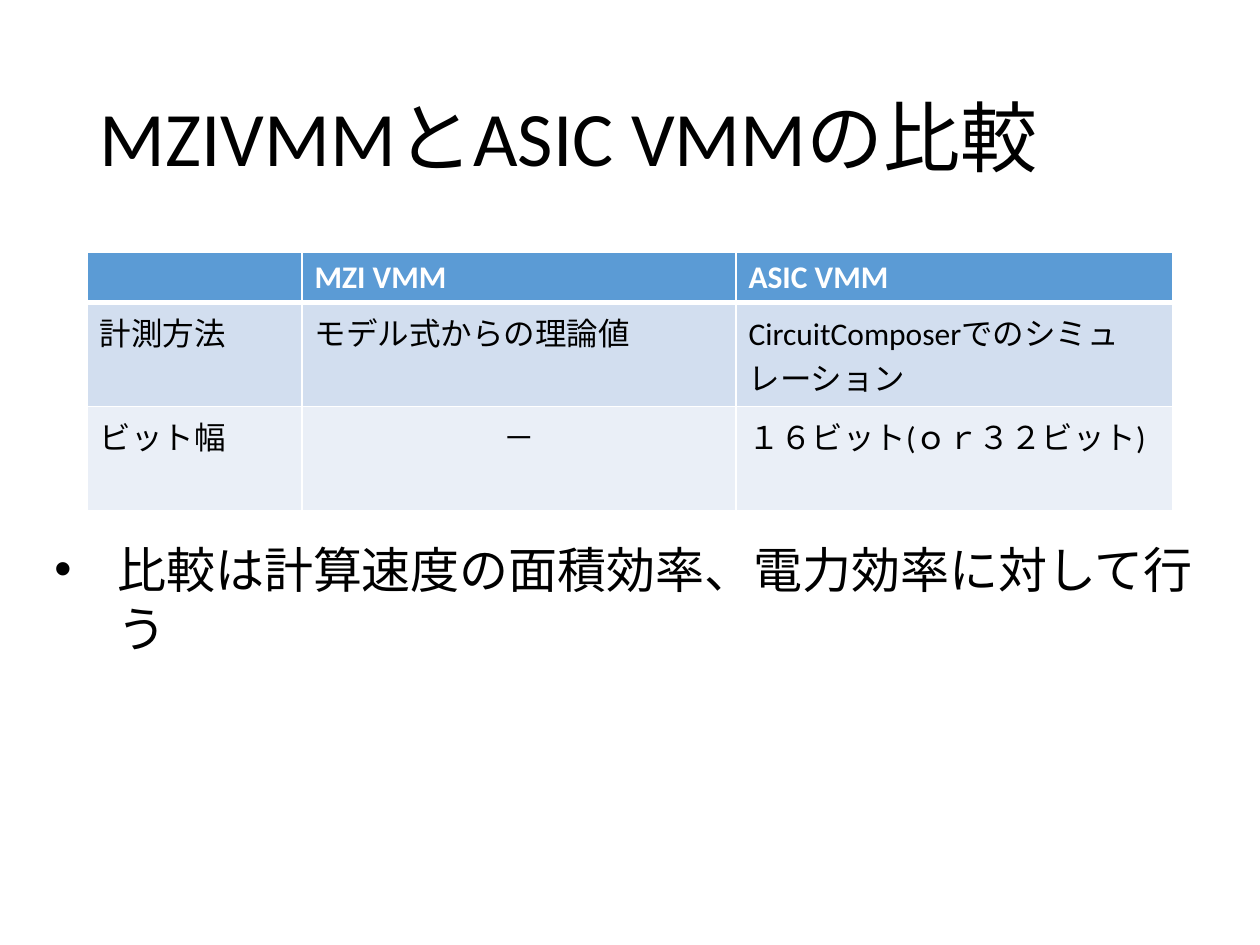
"""Build a slide that compares two kinds of VMM."""
from dataclasses import dataclass

from lxml import etree
from pptx import Presentation
from pptx import util as u
from pptx.dml.color import RGBColor
from pptx.enum import lang, text
from pptx.oxml import ns

SCALE = 914400 // 126
DASH = "\uff0d"


@dataclass(frozen=True)
class Theme:
    """Colours, font and type sizes of the slide."""
    font: str = "Calibri"
    ink: str = "000000"
    white: str = "FFFFFF"
    header: str = "5B9BD5"
    bands: tuple = ("D2DEEF", "EAEFF7")
    title: int = 44
    body: int = 28
    cell: int = 18


THEME = Theme()


def px(length):
    """Turn pixels into EMU."""
    return u.Emu(length * SCALE)


def write(frame, words, size, color=THEME.ink, bold=False, align=text.PP_ALIGN.LEFT, spacing=None):
    """Write one paragraph into a text frame and return it."""
    frame.word_wrap = True
    para = frame.paragraphs[0]
    para.alignment = align
    para.line_spacing = spacing
    span = para.add_run()
    span.text = words
    font = span.font
    font.name, font.size, font.bold = THEME.font, u.Pt(size), bold
    font.color.rgb = RGBColor.from_string(color)
    font.language_id = lang.MSO_LANGUAGE_ID.JAPANESE
    return para


def add_title(page, box, words):
    """Place the title, centred vertically in its box."""
    frame = page.shapes.add_textbox(*map(px, box)).text_frame
    frame.vertical_anchor = text.MSO_ANCHOR.MIDDLE
    write(frame, words, THEME.title, spacing=0.9)


def add_bullet(page, box, words):
    """Place a bulleted statement with a hanging indent."""
    frame = page.shapes.add_textbox(*map(px, box)).text_frame
    props = write(frame, words, THEME.body)._p.get_or_add_pPr()
    indent = px(63)
    props.set("marL", str(indent))
    props.set("indent", str(-indent))
    etree.SubElement(props, ns.qn("a:buFont"), typeface="Arial")
    etree.SubElement(props, ns.qn("a:buChar"), char="•")


def set_borders(cell, **widths):
    """Draw white cell borders, with widths in points by side."""
    props = cell._tc.get_or_add_tcPr()
    for side in "LRTB":
        line = etree.SubElement(props, ns.qn(f"a:ln{side}"), w=str(u.Pt(widths.get(side, 1))))
        fill = etree.SubElement(line, ns.qn("a:solidFill"))
        etree.SubElement(fill, ns.qn("a:srgbClr"), val=THEME.white)


def add_comparison(page, box, shares, header_height, rows):
    """Place the comparison table, with body rows sharing the height below the header."""
    table = page.shapes.add_table(len(rows), len(shares), *map(px, box)).table
    for column, share in zip(table.columns, shares):
        column.width = px(round(box[2] * share))
    body_height = (box[3] - header_height) // (len(rows) - 1)
    for r, row in enumerate(rows):
        header = r == 0
        table.rows[r].height = px(header_height if header else body_height)
        color = THEME.header if header else THEME.bands[(r - 1) % 2]
        for c, words in enumerate(row):
            cell = table.cell(r, c)
            set_borders(cell, T=3 if r == 1 else 1, B=3 if header else 1)
            cell.fill.solid()
            cell.fill.fore_color.rgb = RGBColor.from_string(color)
            align = text.PP_ALIGN.CENTER if words == DASH else text.PP_ALIGN.LEFT
            write(cell.text_frame, words, THEME.cell, bold=header, align=align,
                  color=THEME.white if header else THEME.ink)


def main():
    """Build and save the deck."""
    deck = Presentation()
    deck.slide_width, deck.slide_height = px(1260), px(945)
    page = deck.slides.add_slide(deck.slide_layouts[6])
    add_title(page, (87, 50, 1086, 183), "MZIVMMとASIC VMMの比較")
    add_comparison(page, (87, 252, 1086, 258), (0.198, 0.4, 0.402), 50, [
        ("", "MZI VMM", "ASIC VMM"),
        ("計測方法", "モデル式からの理論値", "CircuitComposerでのシミュレーション"),
        ("ビット幅", DASH, "\uff11\uff16ビット(\uff4f\uff52\uff13\uff12ビット)"),
    ])
    add_bullet(page, (42, 533, 1177, 131), "比較は計算速度の面積効率、電力効率に対して行う")
    deck.save("out.pptx")


main()
